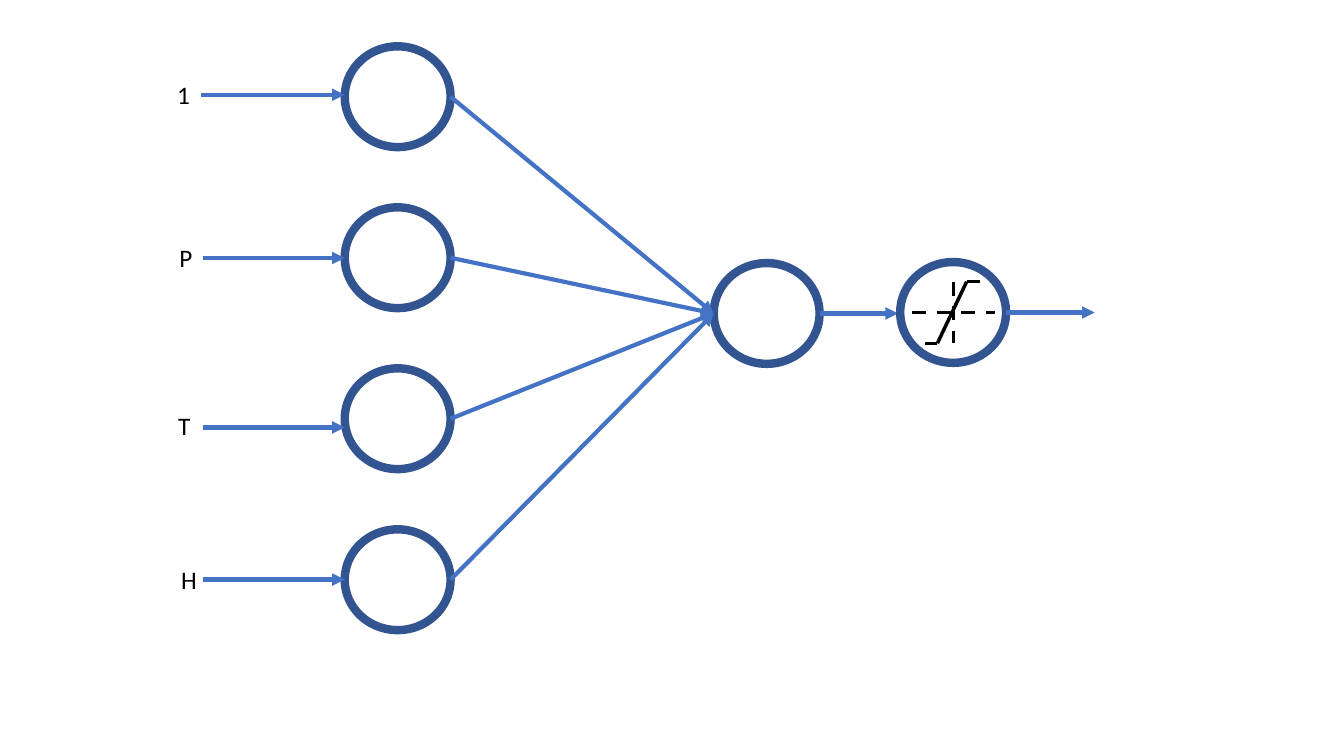
from dataclasses import dataclass

from pptx import Presentation
from pptx.dml.color import RGBColor as Rgb
from pptx.enum.dml import MSO_LINE as Dash
from pptx.enum.shapes import MSO_CONNECTOR as Conn, MSO_SHAPE as Form
from pptx.enum.text import MSO_AUTO_SIZE as Fit
from pptx.oxml.ns import qn
from pptx.util import Pt
from lxml.etree import SubElement as Sub


@dataclass(frozen=True)
class Theme:
    font: str = "Calibri"
    size: float = 18
    ink: Rgb = Rgb(0, 0, 0)
    paper: Rgb = Rgb(255, 255, 255)
    rim: Rgb = Rgb(0x32, 0x54, 0x91)
    wire: Rgb = Rgb(0x44, 0x72, 0xC4)
    rim_w: float = 6
    wire_w: float = 3
    graph_w: float = 2.5


class Sketch:
    def __init__(self, slide, theme):
        self.slide = slide
        self.theme = theme
        self.layer = slide.shapes

    def open_group(self):
        self.layer = self.slide.shapes.add_group_shape().shapes

    def close_group(self):
        self.layer = self.slide.shapes

    def node(self, left, top):
        ring = self.layer.add_shape(
            Form.OVAL, Pt(left), Pt(top), Pt(NODE_W), Pt(NODE_H))
        ring.shadow.inherit = False
        ring.fill.solid()
        ring.fill.fore_color.rgb = self.theme.paper
        ring.line.color.rgb = self.theme.rim
        ring.line.width = Pt(self.theme.rim_w)

    def line(self, start, end, color, width):
        link = self.layer.add_connector(
            Conn.STRAIGHT, *(Pt(v) for v in (*start, *end)))
        link.line.color.rgb = color
        link.line.width = Pt(width)
        Sub(link._element.spPr, qn("a:effectLst"))
        return link

    def arrow(self, start, end):
        link = self.line(start, end, self.theme.wire, self.theme.wire_w)
        Sub(link.line._get_or_add_ln(), qn("a:tailEnd"), type="triangle")

    def stroke(self, start, end, dashed=False):
        link = self.line(start, end, self.theme.ink, self.theme.graph_w)
        if dashed:
            link.line.dash_style = Dash.DASH

    def label(self, text, left, top, width):
        box = self.layer.add_textbox(Pt(left), Pt(top), Pt(width), Pt(28.8))
        frame = box.text_frame
        frame.word_wrap = False
        frame.auto_size = Fit.SHAPE_TO_FIT_TEXT
        run = frame.paragraphs[0].add_run()
        run.text = text
        run.font.name = self.theme.font
        run.font.size = Pt(self.theme.size)
        run.font.color.rgb = self.theme.ink


NODE_W, NODE_H = 75.6, 72
IN_X, IN_Y, STEP = 246.24, 33.12, 115
SUM_X, SUM_Y = 509.8, 187.9
ACT_X, ACT_Y = 643, 187.2
INPUTS = [
    ("1", 119.5, 53.3, 23.8, 143.3, 67.7),
    ("P", 121, 169.2, 23.8, 144.7, 184.3),
    ("T", 120.2, 289.4, 23, 144.7, 305.3),
    ("H", 122.4, 399.6, 25.9, 144.7, 414),
]


def main():
    deck = Presentation()
    deck.slide_width, deck.slide_height = Pt(960), Pt(540)
    art = Sketch(deck.slides.add_slide(deck.slide_layouts[6]), Theme())

    tops = [IN_Y + STEP * i for i in range(len(INPUTS))]
    for top in tops:
        art.node(IN_X, top)
    art.node(SUM_X, SUM_Y)

    hub = (SUM_X, SUM_Y + NODE_H / 2)
    for top, (text, left, y, width, tail, level) in zip(tops, INPUTS):
        art.label(text, left, y, width)
        art.arrow((tail, level), (IN_X, level))
        art.arrow((IN_X + NODE_W, top + NODE_H / 2), hub)
    art.arrow((SUM_X + NODE_W, hub[1]), (641.5, hub[1]))

    mid_x, mid_y = ACT_X + NODE_W / 2, ACT_Y + NODE_H / 2
    high, low = mid_y - 22, mid_y + 22
    art.open_group()
    art.node(ACT_X, ACT_Y)
    art.stroke((mid_x + 0.4, high), (mid_x + 0.4, low), dashed=True)
    art.stroke((mid_x - 29.2, mid_y), (mid_x + 29.8, mid_y), dashed=True)
    curve = [(mid_x + 19, high), (mid_x + 9.7, high),
             (mid_x - 11.2, low), (mid_x - 19.8, low)]
    for start, end in zip(curve, curve[1:]):
        art.stroke(start, end)
    art.close_group()
    art.arrow((ACT_X + NODE_W, mid_y), (781.9, mid_y))

    deck.save("out.pptx")


if __name__ == "__main__":
    main()
